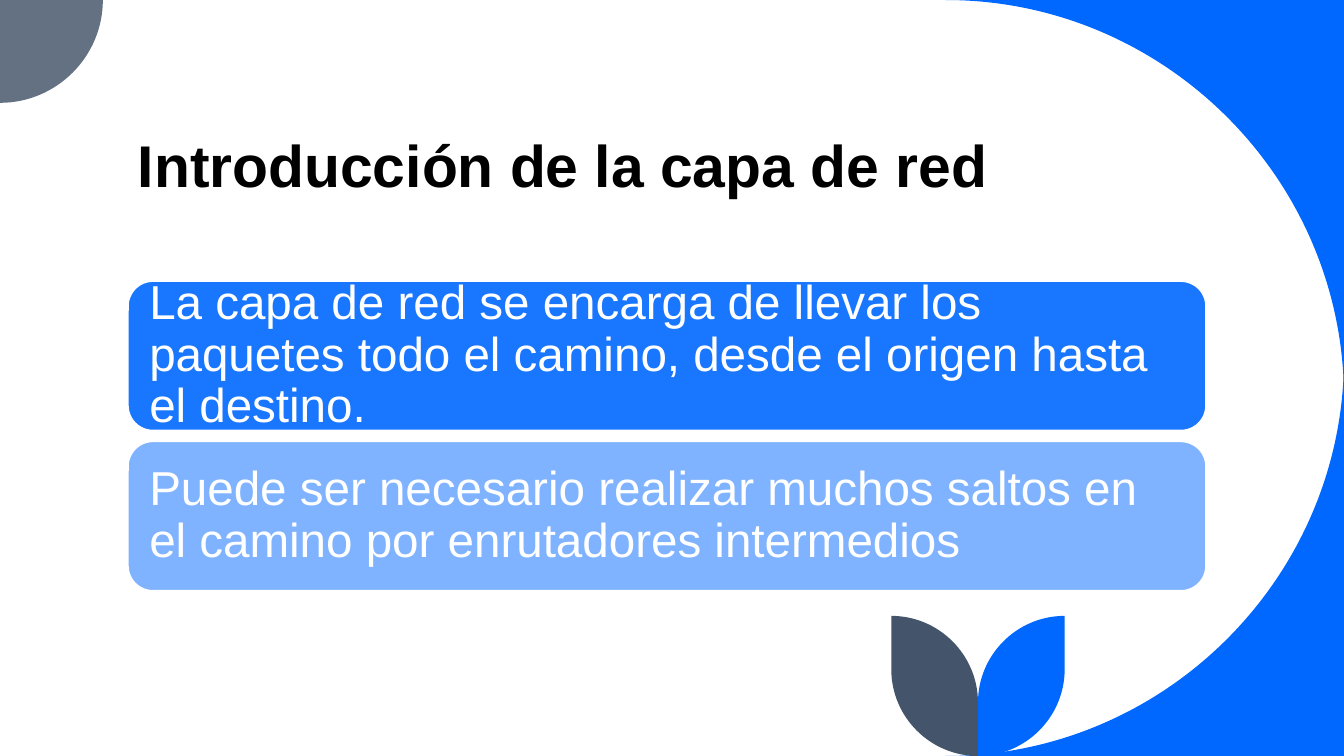
import pptx
import pptx.dml.color
import pptx.enum.shapes
import pptx.enum.text
import pptx.oxml
import pptx.oxml.ns
import pptx.util

Inches = pptx.util.Inches
qn = pptx.oxml.ns.qn
ANCHOR = pptx.enum.text.MSO_ANCHOR

COLORS = {"blue": "0068FF", "slate": "44546A", "gray": "637183",
          "white": "FFFFFF", "black": "000000"}
WIDTH, HEIGHT = 13.33, 7.5
ARC = 0.55  # control point distance for a quarter circle


def rgb(name):
    return pptx.dml.color.RGBColor.from_string(COLORS[name])


def quarter(start, end, corner):
    """Two control points and the end of a quarter circle bulging to corner."""
    controls = [tuple(a + ARC * (c - a) for a, c in zip(point, corner))
                for point in (start, end)]
    return controls + [end]


def add_outline(s, start, steps, color):
    """A step is one line [point] or one curve [control, control, point]."""
    builder = s.shapes.build_freeform(*map(Inches, start))
    builder.add_line_segments([tuple(map(Inches, pt)) for step in steps for pt in step],
                              close=True)
    sp = builder.convert_to_shape()
    segments = iter(list(sp._element.iter(qn("a:lnTo"))))
    for step in steps:
        parts = [next(segments) for _ in step]
        if len(parts) == 3:
            curve = pptx.oxml.parse_xml(
                f'<a:cubicBezTo {pptx.oxml.ns.nsdecls("a")}/>')
            parts[0].addprevious(curve)
            for part in parts:
                curve.append(part[0])
                part.getparent().remove(part)
    sp.shadow.inherit = False
    sp.fill.solid()
    sp.fill.fore_color.rgb = rgb(color)
    sp.line.fill.background()


def add_text(s, box, text, anchor, insets, spacing, font):
    tf = s.shapes.add_textbox(*map(Inches, box)).text_frame
    tf.word_wrap = True
    across, down = map(Inches, insets)
    frame = {"vertical_anchor": anchor, "margin_left": across, "margin_right": across,
             "margin_top": down, "margin_bottom": down}
    for name, value in frame.items():
        setattr(tf, name, value)
    p = tf.paragraphs[0]
    p.line_spacing = spacing
    r = p.add_run()
    r.text = text
    for name, value in font.items():
        if name == "color":
            r.font.color.rgb = rgb(value)
        else:
            setattr(r.font, name, value)


def add_corners(s, width, height, radius, dot):
    # Blue corners on the right
    left = width - radius
    for edge, middle in ((0, radius), (height, height - radius)):
        start, end, corner = (left, edge), (width, middle), (width, edge)
        add_outline(s, start, [quarter(start, end, corner), [corner]], "blue")
    # Gray quarter circle at top left
    add_outline(s, (dot, 0), [quarter((dot, 0), (0, dot), (dot, dot)), [(0, 0)]], "gray")


def add_leaves(s, stem, top, bottom, radius):
    for side, color in ((1, "blue"), (-1, "slate")):
        tip = stem + side * radius
        start, shoulder = (tip, top), (tip, bottom - radius)
        foot, neck = (stem, bottom), (stem, top + radius)
        add_outline(s, start, [[shoulder], quarter(shoulder, foot, (tip, bottom)),
                               [neck], quarter(neck, start, (stem, top))], color)


def add_title(s, box, text):
    add_text(s, box, text, ANCHOR.BOTTOM, (0.1, 0.05), 0.8,
             {"name": "Arial", "size": pptx.util.Pt(42), "bold": True, "color": "black"})


def add_statements(s, left, top, width, height, gap, statements):
    pad = 0.07
    for i, (text, opacity) in enumerate(statements):
        y = top + i * (height + gap)
        # Rounded panel
        sp = s.shapes.add_shape(pptx.enum.shapes.MSO_SHAPE.ROUNDED_RECTANGLE,
                                *map(Inches, (left, y, width, height)))
        sp.shadow.inherit = False
        sp.fill.solid()
        sp.fill.fore_color.rgb = rgb("blue")
        sp._element.spPr.find(".//" + qn("a:srgbClr")).append(pptx.oxml.parse_xml(
            f'<a:alpha {pptx.oxml.ns.nsdecls("a")} val="{opacity * 1000}"/>'))
        sp.line.color.rgb = rgb("white")
        sp.line.width = pptx.util.Pt(1)
        # Statement inside the panel
        box = (left + pad, y + pad, width - 2 * pad, height - 2 * pad)
        add_text(s, box, text, ANCHOR.MIDDLE, (0.14, 0.14), 0.9,
                 {"name": "Arial", "size": pptx.util.Pt(34), "color": "white"})


def main():
    prs = pptx.Presentation()
    prs.slide_width, prs.slide_height = Inches(WIDTH), Inches(HEIGHT)
    s = prs.slides.add_slide(prs.slide_layouts[6])

    # Decoration
    add_corners(s, WIDTH, HEIGHT, radius=3.95, dot=1.02)
    add_leaves(s, stem=9.7, top=6.11, bottom=HEIGHT, radius=0.86)

    # Content, with fill opacity in percent
    add_title(s, (1.27, 0.11, 10.69, 1.91), "Introducción de la capa de red")
    add_statements(s, 1.27, 2.79, 10.69, 1.48, 0.11, [
        ("La capa de red se encarga de llevar los paquetes todo el camino, "
         "desde el origen hasta el destino.", 90),
        ("Puede ser necesario realizar muchos saltos en el camino "
         "por enrutadores intermedios", 50),
    ])

    prs.save("out.pptx")


if __name__ == "__main__":
    main()
